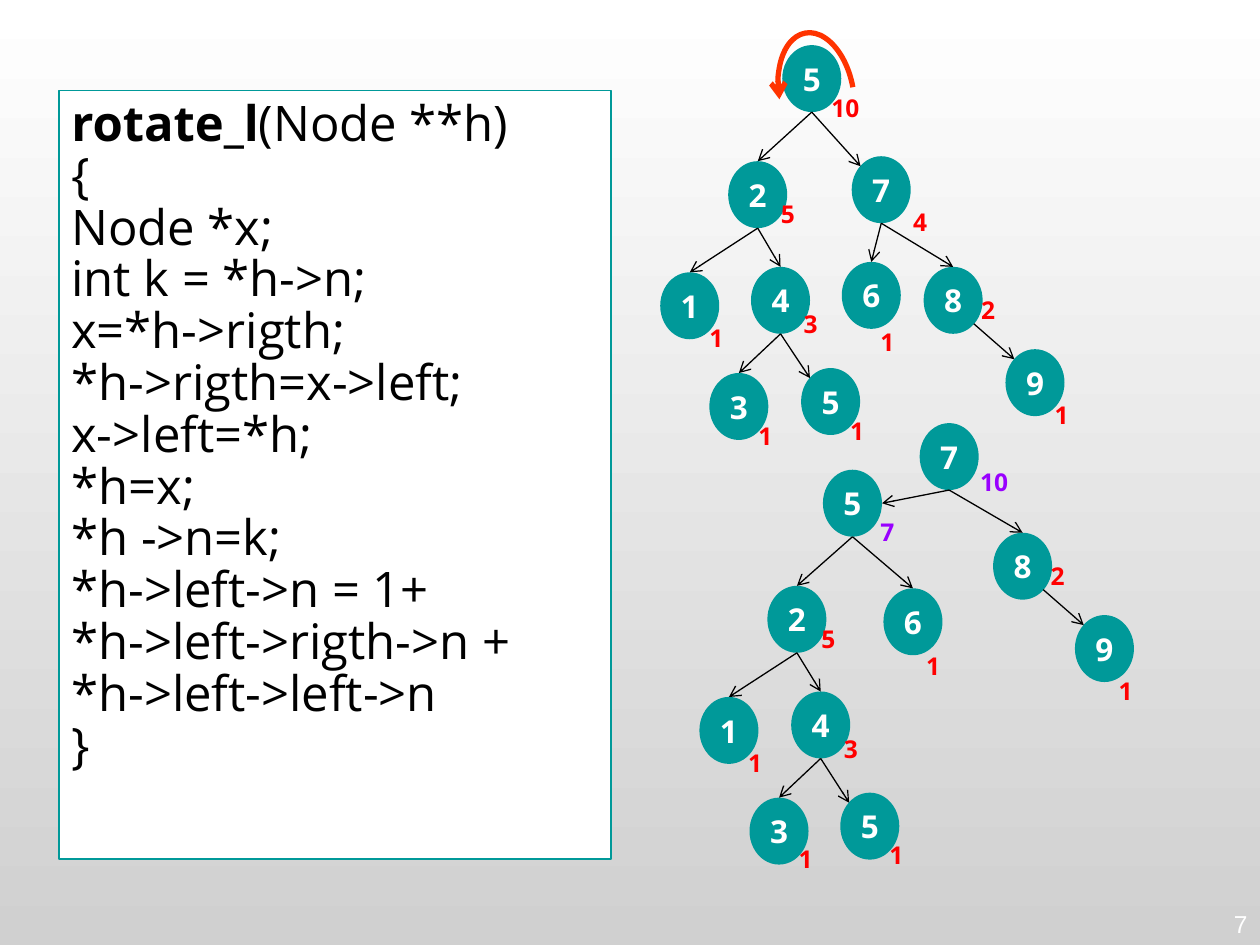
import lxml.etree
import pptx
import pptx.dml.color
import pptx.enum.shapes
import pptx.enum.text
import pptx.oxml.ns
import pptx.util
from pptx.dml.color import RGBColor
from pptx.util import Cm, Pt

WHITE = RGBColor(0xFF, 0xFF, 0xFF)
GREY = RGBColor(0xD0, 0xD0, 0xD0)
BLACK = RGBColor(0, 0, 0)
TEAL = RGBColor(0, 0x99, 0x99)
RED = RGBColor(0xFF, 0, 0)
PURPLE = RGBColor(0x99, 0, 0xFF)
ORANGE = RGBColor(0xFF, 0x33, 0)

NODE_WIDTH, NODE_HEIGHT = 1.19, 1.35
# Points on a node's outline, as fractions of its width and height
ANCHORS = {
    "top": (0.5, 0), "bottom": (0.5, 1), "right": (1, 0.5),
    "top left": (0.15, 0.15), "bottom right": (0.85, 0.85),
}

CODE = """rotate_l(Node **h)
{
Node *x;
int k = *h->n;
x=*h->rigth;
*h->rigth=x->left;
x->left=*h;
*h=x;
*h ->n=k;
*h->left->n = 1+
*h->left->rigth->n +
*h->left->left->n
}"""

# Node: key, left, top, subtree size, left and top of the size, its colour.
# The first character of the key is the value shown.
# Edge: parent, child, start anchor, end anchor.
before_nodes = [
    ("5", 15.77, 0.91, 10, 16.51, 1.80, RED),
    ("2", 14.68, 3.25, 5, 15.49, 3.94, RED),
    ("7", 17.17, 3.15, 4, 18.16, 4.11, RED),
    ("1", 13.31, 5.49, 1, 14.05, 6.45, RED),
    ("4", 15.14, 5.38, 3, 15.95, 6.17, RED),
    ("6", 16.97, 5.28, 1, 17.50, 6.53, RED),
    ("8", 18.62, 5.38, 2, 19.53, 5.87, RED),
    ("3", 14.30, 7.52, 1, 15.04, 8.41, RED),
    ("5 leaf", 16.15, 7.42, 1, 16.89, 8.31, RED),
    ("9", 20.27, 7.04, 1, 21.01, 8.00, RED),
]
after_nodes = [
    ("7", 18.54, 8.53, 10, 19.51, 9.35, PURPLE),
    ("5", 16.59, 9.47, 7, 17.50, 10.36, PURPLE),
    ("2", 15.47, 11.81, 5, 16.31, 12.50, RED),
    ("6", 17.81, 11.86, 1, 18.42, 13.06, RED),
    ("8", 20.02, 10.74, 2, 20.93, 11.25, RED),
    ("9", 21.67, 12.40, 1, 22.30, 13.56, RED),
    ("1", 14.10, 14.05, 1, 14.83, 15.01, RED),
    ("4", 15.95, 13.94, 3, 16.76, 14.73, RED),
    ("3", 15.11, 16.08, 1, 15.85, 16.94, RED),
    ("5 leaf", 16.94, 15.98, 1, 17.68, 16.87, RED),
]
shared_edges = [
    ("5", "2", "bottom", "top"),
    ("2", "1", "bottom", "top"),
    ("2", "4", "bottom", "top"),
    ("4", "3", "bottom", "top"),
    ("4", "5 leaf", "bottom", "top left"),
    ("7", "8", "bottom", "top"),
    ("8", "9", "bottom right", "top left"),
]
before_edges = shared_edges + [("5", "7", "bottom", "top left"), ("7", "6", "bottom", "top")]
after_edges = shared_edges + [("7", "5", "bottom", "right"), ("5", "6", "bottom", "top")]


def style_text(paragraph, size, color, bold=False, font="Open Sans"):
    for run in paragraph.runs:
        run.font.name = font
        run.font.size = Pt(size)
        run.font.bold = bold
        run.font.color.rgb = color


def style_arrow(shape, color, width):
    """Colour the line and end it with an open arrowhead."""
    shape.line.color.rgb = color
    shape.line.width = Pt(width)
    head = lxml.etree.SubElement(shape.line._get_or_add_ln(), pptx.oxml.ns.qn("a:tailEnd"))
    head.set("type", "arrow")


presentation = pptx.Presentation()
presentation.slide_width, presentation.slide_height = Cm(25.4), Cm(19.05)
slide = presentation.slides.add_slide(presentation.slide_layouts[6])

background = slide.background.fill
background.gradient()
background.gradient_angle = 270
for stop, color in zip(background.gradient_stops, (WHITE, GREY)):
    stop.color.rgb = color

code_box = slide.shapes.add_textbox(Cm(1.19), Cm(1.83), Cm(11.13), Cm(15.49))
code_box.fill.solid()
code_box.fill.fore_color.rgb = WHITE
code_box.line.color.rgb = TEAL
code_box.line.width = Pt(0.75)
code_box.text_frame.word_wrap = True
code_box.text_frame.margin_top = Cm(0.19)
code_box.text_frame.text = CODE
for line in code_box.text_frame.paragraphs:
    line.line_spacing = 0.88
signature = code_box.text_frame.paragraphs[0]
signature.text = "rotate_l"
signature.add_run().text = "(Node **h)"
for line in code_box.text_frame.paragraphs:
    style_text(line, 28, BLACK)
signature.runs[0].font.bold = True

for nodes, edges in ((before_nodes, before_edges), (after_nodes, after_edges)):
    tree = slide.shapes.add_group_shape().shapes
    corners = {}
    for key, left, top, *_ in nodes:
        corners[key] = left, top
        node = tree.add_shape(pptx.enum.shapes.MSO_SHAPE.OVAL,
                              Cm(left), Cm(top), Cm(NODE_WIDTH), Cm(NODE_HEIGHT))
        node.shadow.inherit = False
        node.fill.solid()
        node.fill.fore_color.rgb = TEAL
        node.line.fill.background()
        frame = node.text_frame
        frame.margin_left = frame.margin_right = frame.margin_top = frame.margin_bottom = 0
        frame.vertical_anchor = pptx.enum.text.MSO_ANCHOR.MIDDLE
        frame.text = key[0]
        frame.paragraphs[0].alignment = pptx.enum.text.PP_ALIGN.CENTER
        style_text(frame.paragraphs[0], 18, WHITE, bold=True)

    for parent, child, start, end in edges:
        points = []
        for key, anchor in ((parent, start), (child, end)):
            across, down = ANCHORS[anchor]
            points += [Cm(corners[key][0] + across * NODE_WIDTH),
                       Cm(corners[key][1] + down * NODE_HEIGHT)]
        edge = tree.add_connector(pptx.enum.shapes.MSO_CONNECTOR.STRAIGHT, *points)
        style_arrow(edge, BLACK, 0.75)
        lxml.etree.SubElement(edge._element.spPr, pptx.oxml.ns.qn("a:effectLst"))

    for _, _, _, count, left, top, color in nodes:
        size_label = tree.add_textbox(Cm(left), Cm(top), Cm(1.3), Cm(0.84))
        size_label.text_frame.word_wrap = True
        size_label.text_frame.margin_top = Cm(0.07)
        size_label.text_frame.text = str(count)
        style_text(size_label.text_frame.paragraphs[0], 14, color, bold=True)

    if nodes is before_nodes:
        rotation_arc = tree.add_shape(pptx.enum.shapes.MSO_SHAPE.ARC,
                                      Cm(15.21), Cm(1.14), Cm(2.49), Cm(1.5))
        rotation_arc.shadow.inherit = False
        rotation_arc.fill.background()
        rotation_arc.adjustments[0] = 162
        rotation_arc.adjustments[1] = 52.94
        rotation_arc.rotation = 79.8
        rotation_arc._element.spPr.xfrm.set("flipH", "1")
        style_arrow(rotation_arc, ORANGE, 3)

page_number = slide.shapes.add_textbox(Cm(19.48), Cm(17.73), Cm(5.92), Cm(1.32))
page_number.text_frame.word_wrap = True
page_number.text_frame.vertical_anchor = pptx.enum.text.MSO_ANCHOR.BOTTOM
page_number.text_frame.text = "7"
page_number.text_frame.paragraphs[0].alignment = pptx.enum.text.PP_ALIGN.RIGHT
style_text(page_number.text_frame.paragraphs[0], 14, WHITE, font="Arial")

presentation.save("out.pptx")
